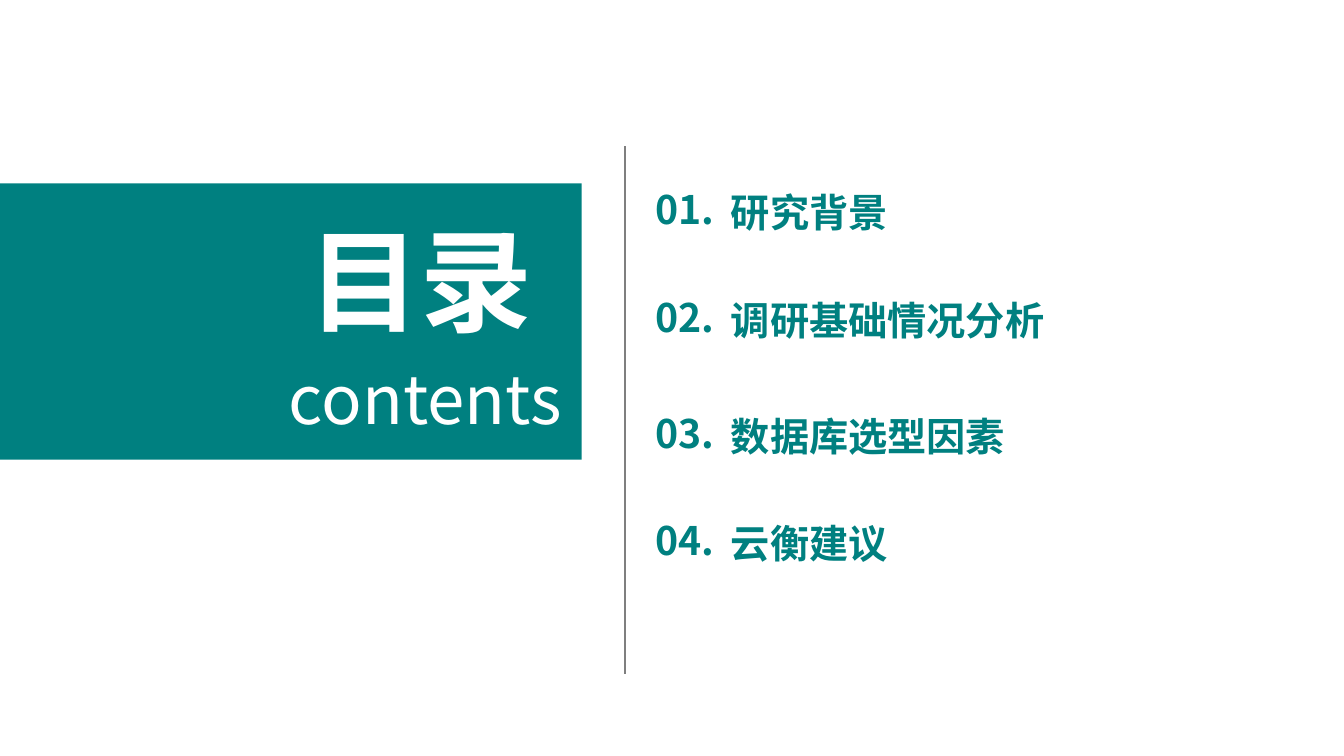
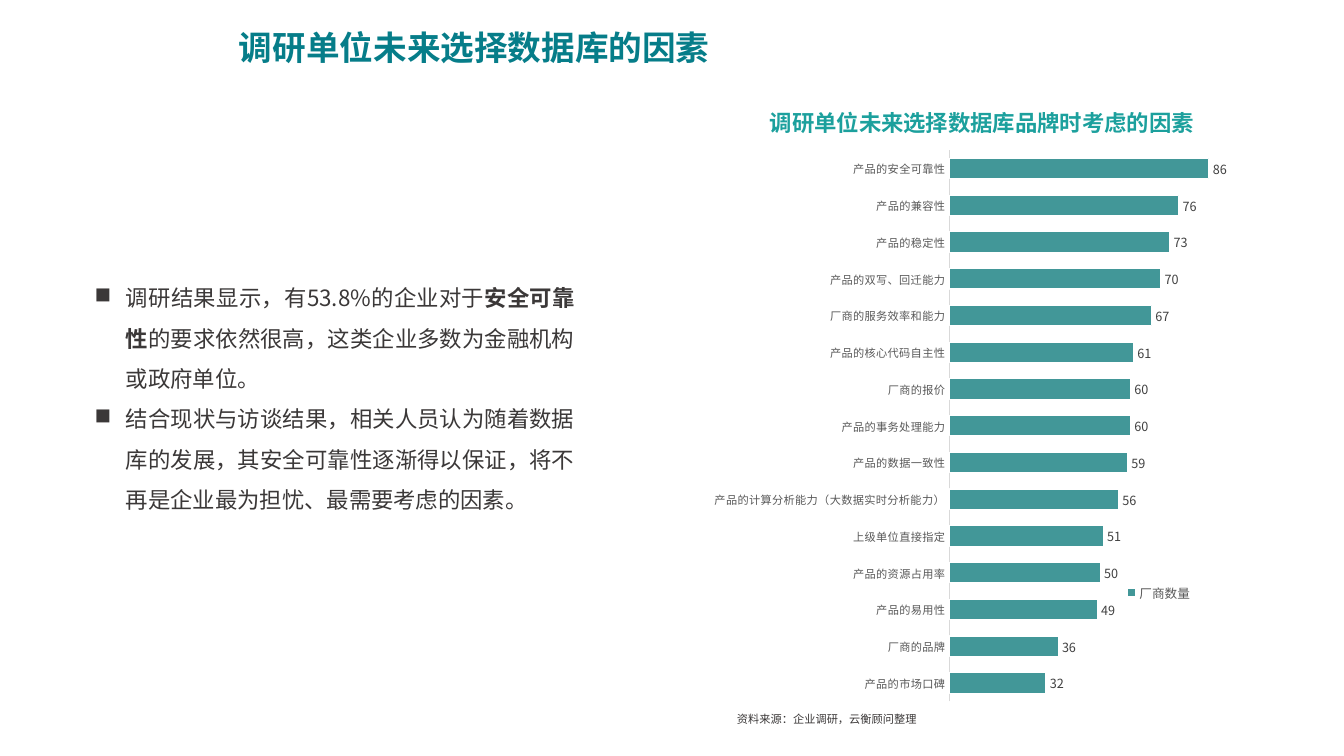
from dataclasses import dataclass

from lxml import etree
from pptx import Presentation
from pptx.chart.data import CategoryChartData
from pptx.dml.color import RGBColor
from pptx.enum.chart import XL_CHART_TYPE, XL_LABEL_POSITION, XL_LEGEND_POSITION, XL_TICK_MARK
from pptx.enum.shapes import MSO_CONNECTOR, MSO_SHAPE
from pptx.enum.text import MSO_ANCHOR, MSO_AUTO_SIZE, PP_ALIGN
from pptx.oxml.ns import qn
from pptx.util import Inches, Pt

# Shared look
FONT = "Noto Sans CJK SC"
TEAL = RGBColor(0x00, 0x80, 0x80)
HEAD = RGBColor(0x06, 0x7D, 0x89)
MINT = RGBColor(0x1C, 0xA0, 0x9D)
BAR = RGBColor(0x42, 0x97, 0x98)
WHITE = RGBColor(0xFF, 0xFF, 0xFF)
INK = RGBColor(0x3B, 0x38, 0x38)
GRAY = RGBColor(0x7F, 0x7F, 0x7F)
AXIS = RGBColor(0x59, 0x59, 0x59)
VALUE = RGBColor(0x40, 0x40, 0x40)
RULE = RGBColor(0xD9, 0xD9, 0xD9)


@dataclass(frozen=True)
class Box:
    left: float
    top: float
    width: float
    height: float

    def lengths(self):
        return [Inches(n) for n in (self.left, self.top, self.width, self.height)]


@dataclass(frozen=True)
class Style:
    size: float
    color: RGBColor
    bold: bool = False
    align: PP_ALIGN = PP_ALIGN.LEFT
    space: float = 1.0
    inset: tuple = (0.1, 0.05)
    wrap: bool = True
    anchor: MSO_ANCHOR = MSO_ANCHOR.TOP


@dataclass(frozen=True)
class Item:
    top: float
    name: str


@dataclass(frozen=True)
class Factor:
    name: str
    count: int


FLAT = {"inset": (0, 0), "wrap": False}
COVER = Style(80, WHITE, True, PP_ALIGN.CENTER, **FLAT)
SUB = Style(48, WHITE, align=PP_ALIGN.CENTER, **FLAT)
ENTRY = Style(28, TEAL, True, **FLAT)
TITLE = Style(24, HEAD, True, PP_ALIGN.JUSTIFY)
BODY = Style(16, INK, align=PP_ALIGN.JUSTIFY, space=1.5)
CAPTION = Style(16, MINT, True, PP_ALIGN.CENTER, inset=(0.08, 0.04), anchor=MSO_ANCHOR.MIDDLE)
SOURCE = Style(8, INK, space=1.5)

ITEMS = [
    Item(1.84, "研究背景"),
    Item(2.91, "调研基础情况分析"),
    Item(4.06, "数据库选型因素"),
    Item(5.12, "云衡建议"),
]
# Each point is a list of parts; every second part is bold
POINTS = [
    ["调研结果显示，有53.8%的企业对于", "安全可靠性", "的要求依然很高，这类企业多数为金融机构或政府单位。"],
    ["结合现状与访谈结果，相关人员认为随着数据库的发展，其安全可靠性逐渐得以保证，将不再是企业最为担忧、最需要考虑的因素。"],
]
FACTORS = [
    Factor("产品的市场口碑", 32),
    Factor("厂商的品牌", 36),
    Factor("产品的易用性", 49),
    Factor("产品的资源占用率", 50),
    Factor("上级单位直接指定", 51),
    Factor("产品的计算分析能力（大数据实时分析能力）", 56),
    Factor("产品的数据一致性", 59),
    Factor("产品的事务处理能力", 60),
    Factor("厂商的报价", 60),
    Factor("产品的核心代码自主性", 61),
    Factor("厂商的服务效率和能力", 67),
    Factor("产品的双写、回迁能力", 70),
    Factor("产品的稳定性", 73),
    Factor("产品的兼容性", 76),
    Factor("产品的安全可靠性", 86),
]


# Text helpers
def set_font(font, size: float, color: RGBColor, bold: bool = False) -> None:
    font.name, font.size, font.bold = FONT, Pt(size), bold
    font.color.rgb = color


def format_text(shape, style: Style) -> None:
    frame = shape.text_frame
    frame.word_wrap = style.wrap
    frame.auto_size = MSO_AUTO_SIZE.NONE
    frame.vertical_anchor = style.anchor
    frame.margin_left = frame.margin_right = Inches(style.inset[0])
    frame.margin_top = frame.margin_bottom = Inches(style.inset[1])
    for para in frame.paragraphs:
        para.alignment = style.align
        para.line_spacing = style.space
        for run in para.runs:
            set_font(run.font, style.size, style.color, style.bold)
            latin = run.font._element.find(qn("a:latin"))
            east = etree.Element(qn("a:ea"), typeface=FONT)
            latin.addnext(east)


def add_text(slide, box: Box, text: str, style: Style):
    shape = slide.shapes.add_textbox(*box.lengths())
    shape.text_frame.text = text
    format_text(shape, style)
    return shape


def set_title(slide, box: Box, text: str, style: Style) -> None:
    title = slide.shapes.title
    title.left, title.top, title.width, title.height = box.lengths()
    title.text_frame.text = text
    format_text(title, style)


def add_points(slide, box: Box) -> None:
    shape = slide.shapes.add_textbox(*box.lengths())
    frame = shape.text_frame
    for i, parts in enumerate(POINTS):
        para = frame.add_paragraph() if i else frame.paragraphs[0]
        for part in parts:
            para.add_run().text = part
    format_text(shape, BODY)
    for para in frame.paragraphs:
        for run in para.runs[1::2]:
            run.font.bold = True
        props = para._p.get_or_add_pPr()
        props.set("marL", str(Inches(0.31)))
        props.set("indent", str(Inches(-0.31)))
        etree.SubElement(props, qn("a:buChar"), char="■")


# Chart helpers
def set_layout(parent, index: int, box: Box, inner: bool = False) -> None:
    """Place a chart part by fractions of the chart area."""
    for old in parent.findall(qn("c:layout")):
        parent.remove(old)
    layout = etree.Element(qn("c:layout"))
    manual = etree.SubElement(layout, qn("c:manualLayout"))
    pairs = [("layoutTarget", "inner")] if inner else []
    pairs += [("xMode", "edge"), ("yMode", "edge"), ("x", box.left),
              ("y", box.top), ("w", box.width), ("h", box.height)]
    for tag, val in pairs:
        etree.SubElement(manual, qn(f"c:{tag}"), val=str(val))
    parent.insert(index, layout)


def add_bars(slide, box: Box) -> None:
    data = CategoryChartData(number_format="0")
    data.categories = [f.name for f in FACTORS]
    data.add_series("厂商数量", [f.count for f in FACTORS])
    chart = slide.shapes.add_chart(XL_CHART_TYPE.BAR_CLUSTERED, *box.lengths(), data).chart
    chart.has_title = False
    set_font(chart.font, 9, VALUE)

    # Axes
    names, values = chart.category_axis, chart.value_axis
    names.major_tick_mark = names.minor_tick_mark = XL_TICK_MARK.NONE
    names.has_major_gridlines = False
    names.format.line.color.rgb = RULE
    names.format.line.width = Pt(0.75)
    set_font(names.tick_labels.font, 8, AXIS)
    values.has_major_gridlines = False
    values.minimum_scale, values.maximum_scale = 0, 100
    values.visible = False

    # Bars and labels
    plot = chart.plots[0]
    plot.gap_width = 80
    plot.vary_by_categories = False
    series = plot.series[0]
    series.format.fill.solid()
    series.format.fill.fore_color.rgb = BAR
    series.format.line.color.rgb = WHITE
    series.format.line.width = Pt(0.75)
    labels = series.data_labels
    labels.show_value = True
    labels.position = XL_LABEL_POSITION.OUTSIDE_END
    labels.number_format, labels.number_format_is_linked = "0_ ", False
    set_font(labels.font, 9, VALUE)

    # Legend and plot area
    chart.has_legend = True
    legend = chart.legend
    legend.position = XL_LEGEND_POSITION.BOTTOM
    legend.include_in_layout = False
    set_font(legend.font, 9, AXIS)
    set_layout(legend._element, 1, Box(0.74, 0.73, 0.15, 0.04))
    area = chart._chartSpace.chart.plotArea
    set_layout(area, 0, Box(0.44, 0.02, 0.54, 0.91), inner=True)


# Slides
def draw_agenda(slide) -> None:
    shapes = slide.shapes
    band = shapes.add_shape(MSO_SHAPE.RECTANGLE, *Box(0, 1.82, 5.77, 2.74).lengths())
    band.shadow.inherit = False
    band.fill.solid()
    band.fill.fore_color.rgb = TEAL
    band.line.fill.background()
    shapes.title._element.addprevious(band._element)

    set_title(slide, Box(3.05, 2.1, 2.24, 1.35), "目录", COVER)
    add_text(slide, Box(2.85, 3.54, 2.74, 0.81), "contents", SUB)

    rule = shapes.add_connector(
        MSO_CONNECTOR.STRAIGHT, Inches(6.2), Inches(1.45), Inches(6.2), Inches(6.69))
    rule.line.color.rgb = GRAY
    rule.line.width = Pt(1)
    etree.SubElement(rule._element.spPr, qn("a:effectLst"))

    for i, item in enumerate(ITEMS, 1):
        add_text(slide, Box(6.5, item.top, 0.73, 0.57), f"{i:02}.", ENTRY)
        add_text(slide, Box(7.25, item.top + 0.03, 3.14, 0.47), item.name, ENTRY)


def draw_factors(slide) -> None:
    set_title(slide, Box(2.27, 0.22, 10.57, 0.5), "调研单位未来选择数据库的因素", TITLE)
    add_points(slide, Box(0.84, 2.64, 4.96, 2.48))
    add_text(slide, Box(7.33, 1.06, 4.82, 0.31), "调研单位未来选择数据库品牌时考虑的因素", CAPTION)
    add_bars(slide, Box(6.98, 1.37, 5.54, 6.01))
    add_text(slide, Box(7.21, 6.95, 2.18, 0.23), "资料来源：企业调研，云衡顾问整理", SOURCE)


def main() -> None:
    deck = Presentation()
    deck.slide_width, deck.slide_height = Inches(13.33), Inches(7.5)
    for draw in (draw_agenda, draw_factors):
        draw(deck.slides.add_slide(deck.slide_layouts[5]))
    deck.save("out.pptx")


if __name__ == "__main__":
    main()
